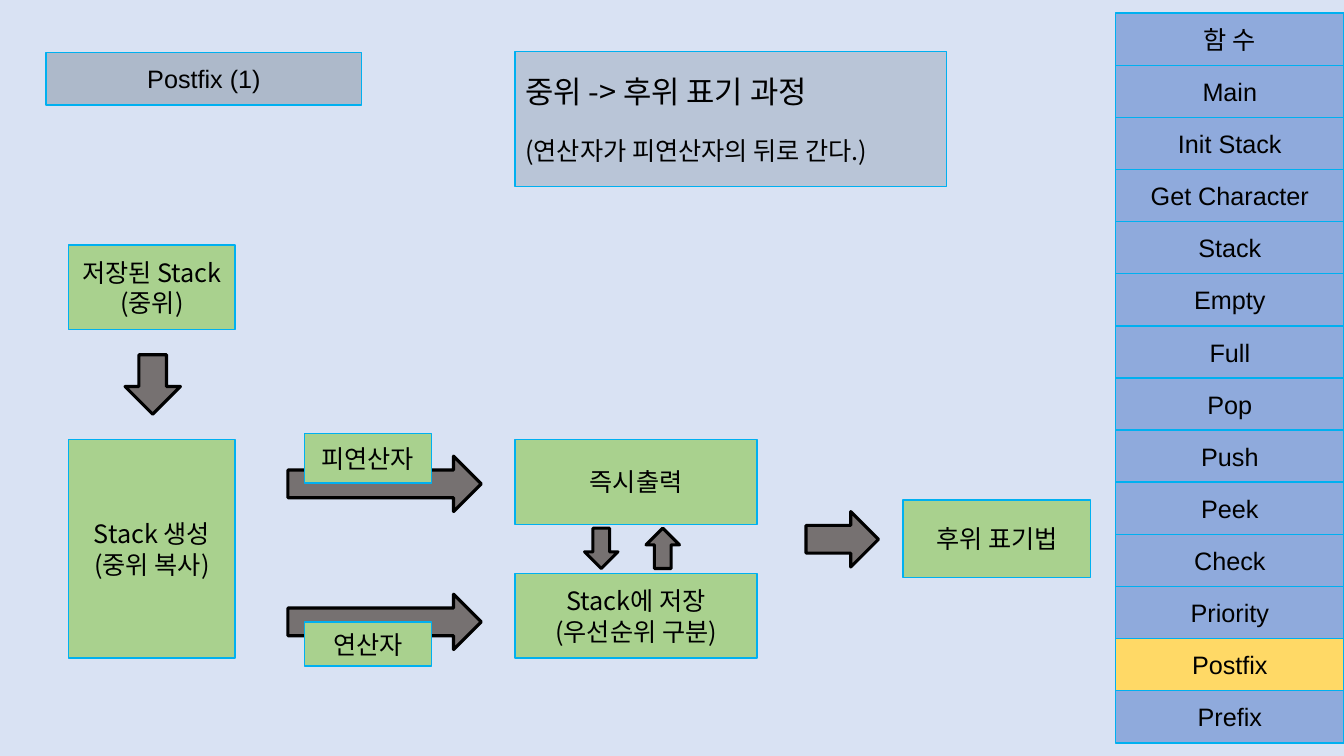
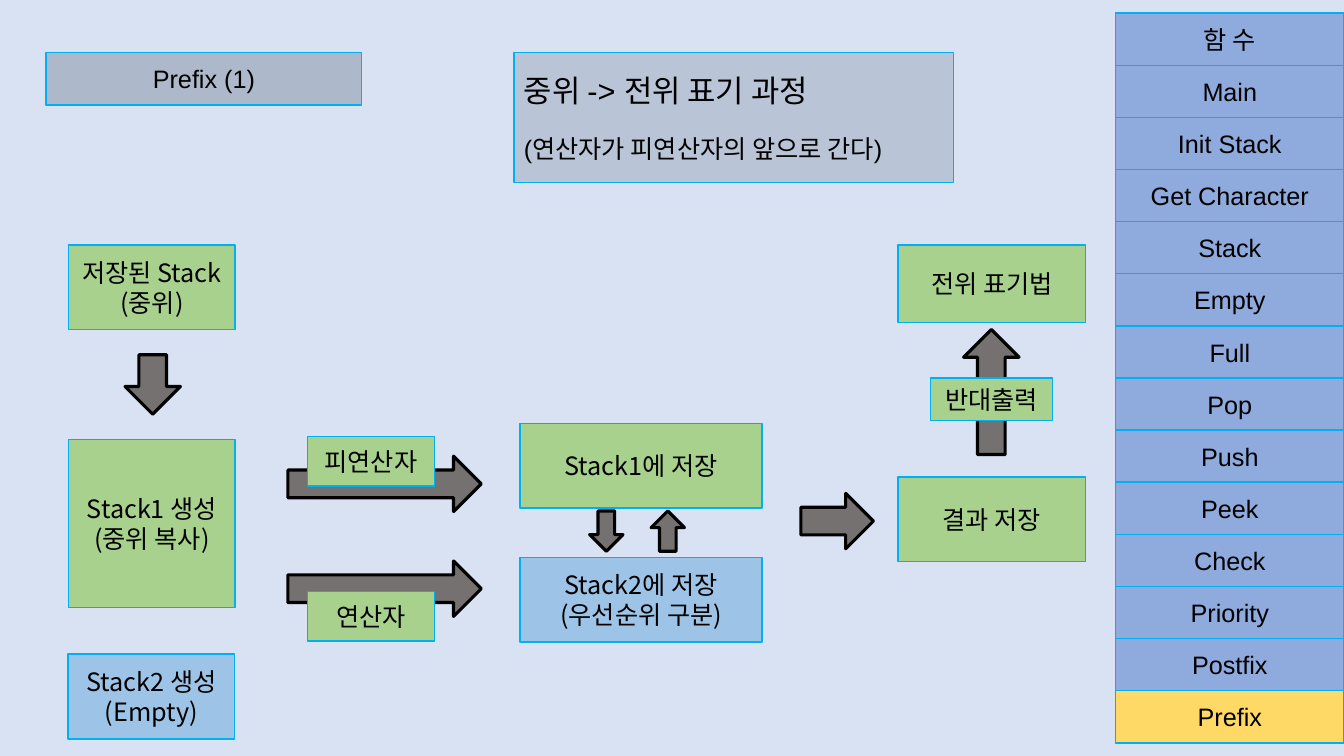
from dataclasses import dataclass
from lxml.etree import SubElement
from pptx import Presentation
from pptx.dml.color import RGBColor
from pptx.enum.shapes import MSO_SHAPE
from pptx.enum.text import MSO_ANCHOR, PP_ALIGN
from pptx.oxml.ns import qn
from pptx.util import Pt


@dataclass(frozen=True)
class Theme:
    back: str = "D9E2F3"
    title: str = "ADB9CA"
    note: str = "B9C5D7"
    menu: str = "8FAADC"
    active: str = "FFD966"
    green: str = "A9D18E"
    blue: str = "9DC3E6"
    arrow: str = "767171"
    edge: str = "00B0F0"
    ink: str = "000000"
    latin: str = "Arial"
    korean: str = "Noto Sans CJK KR"
    body: float = 18
    head: float = 22
    thin: float = 1
    thick: float = 2.25


T = Theme()
ARROWS = {"down": MSO_SHAPE.DOWN_ARROW, "up": MSO_SHAPE.UP_ARROW,
          "right": MSO_SHAPE.RIGHT_ARROW}

# Content: lengths in points, each place is left, top, width, height
MENU = ["함 수", "Main", "Init Stack", "Get Character", "Stack", "Empty", "Full",
        "Pop", "Push", "Peek", "Check", "Priority", "Postfix", "Prefix"]
MENU_LEFT, MENU_TOP, MENU_PITCH, MENU_SIZE = 797, 9.4, 37.22, (163, 37.4)
TITLE_AT = (33, 37.5, 225.4, 37.5)

# Steps that both slides share
SAVED = (["저장된 Stack", "(중위)"], (49, 175, 119, 60.5), T.green)
SHARED_ARROWS = [("down", (89.3, 253.4, 39.6, 42.5)),
                 ("right", (205.6, 325.8, 138.2, 39.6))]

SLIDES = [
    dict(
        active="Postfix",
        note=["중위 -> 후위 표기 과정", "(연산자가 피연산자의 뒤로 간다.)"],
        note_at=(368, 36.7, 308.2, 96.5), note_font=T.korean,
        arrows=[("right", (205.6, 424.4, 138.2, 39.6)),
                ("right", (575.7, 365.4, 51.8, 39.6)),
                ("down", (417.6, 377.3, 23.8, 28.8)),
                ("up", (461.5, 377.3, 23.8, 28.8))],
        steps=[(["Stack 생성", "(중위 복사)"], (49, 314, 119, 156.2), T.green),
               (["즉시출력"], (368, 314, 172.8, 60.5), T.green),
               (["Stack에 저장", "(우선순위 구분)"], (368, 409.7, 172.8, 60.5), T.green),
               (["피연산자"], (217.4, 309.6, 90.7, 35.3), T.green),
               (["연산자"], (217.4, 444.2, 90.7, 31.7), T.green),
               (["후위 표기법"], (645.1, 357.1, 133.9, 55.4), T.green)],
    ),
    dict(
        active="Prefix",
        note=["중위 -> 전위 표기 과정", "(연산자가 피연산자의 앞으로 간다)"],
        note_at=(367.2, 37.4, 314, 93), note_font=T.latin,
        arrows=[("right", (205.6, 400.7, 138.2, 39.6)),
                ("right", (572.1, 352.4, 51.8, 39.6)),
                ("down", (421.2, 365, 23.8, 28.8)),
                ("up", (465.1, 365, 23.8, 28.8)),
                ("up", (688.3, 235.4, 39.6, 89.3))],
        steps=[(["Stack1 생성", "(중위 복사)"], (49, 314, 119, 120.2), T.green),
               (["Stack2 생성", "(Empty)"], (48.6, 467.3, 119, 60.5), T.blue),
               (["Stack1에 저장"], (371.5, 302.4, 172.8, 60.5), T.green),
               (["Stack2에 저장", "(우선순위 구분)"], (371.5, 398.2, 172.8, 60.5), T.blue),
               (["피연산자"], (219.6, 311.8, 90.7, 35.3), T.green),
               (["연산자"], (219.6, 422.6, 90.7, 35.3), T.green),
               (["결과 저장"], (641.5, 340.6, 133.9, 60.5), T.green),
               (["반대출력"], (664.6, 270, 87.1, 30.2), T.green),
               (["전위 표기법"], (641.5, 175, 133.9, 55.4), T.green)],
    ),
]


def add_shape(s, kind, at, fill, edge, width):
    sp = s.shapes.add_shape(kind, *map(Pt, at))
    sp.shadow.inherit = False
    sp.fill.solid()
    sp.fill.fore_color.rgb = RGBColor.from_string(fill)
    sp.line.color.rgb = RGBColor.from_string(edge)
    sp.line.width = Pt(width)
    return sp


def add_text(p, text, size=T.body, font=T.korean, align=PP_ALIGN.CENTER, before=0):
    p.alignment = align
    p.space_before = Pt(before)
    r = p.add_run()
    r.text = text
    r.font.size = Pt(size)
    r.font.name = font
    r.font.color.rgb = RGBColor.from_string(T.ink)
    SubElement(r.font._element, qn("a:ea"), typeface=T.korean)


def add_box(s, lines, at, fill, formats=None, **common):
    tf = add_shape(s, MSO_SHAPE.RECTANGLE, at, fill, T.edge, T.thin).text_frame
    tf.word_wrap = True
    tf.vertical_anchor = MSO_ANCHOR.MIDDLE
    for i, line in enumerate(lines):
        p = tf.add_paragraph() if i else tf.paragraphs[0]
        add_text(p, line, **common, **(formats[i] if formats else {}))


def add_frame(s, active):
    s.background.fill.solid()
    s.background.fill.fore_color.rgb = RGBColor.from_string(T.back)
    add_box(s, [f"{active} (1)"], TITLE_AT, T.title, font=T.latin)
    for i, name in enumerate(MENU):
        at = (MENU_LEFT, MENU_TOP + i * MENU_PITCH, *MENU_SIZE)
        add_box(s, [name], at, T.active if name == active else T.menu, font=T.latin)


prs = Presentation()
prs.slide_width, prs.slide_height = Pt(960), Pt(540)
for page in SLIDES:
    s = prs.slides.add_slide(prs.slide_layouts[6])
    # Title and function menu
    add_frame(s, page["active"])
    # Explanation
    add_box(s, page["note"], page["note_at"], T.note,
            formats=[dict(size=T.head), dict(before=18)],
            font=page["note_font"], align=PP_ALIGN.LEFT)
    # Flow: arrows lie behind the steps and their labels
    for way, at in SHARED_ARROWS + page["arrows"]:
        add_shape(s, ARROWS[way], at, T.arrow, T.ink, T.thick)
    for lines, at, fill in [SAVED] + page["steps"]:
        add_box(s, lines, at, fill)

prs.save("out.pptx")
